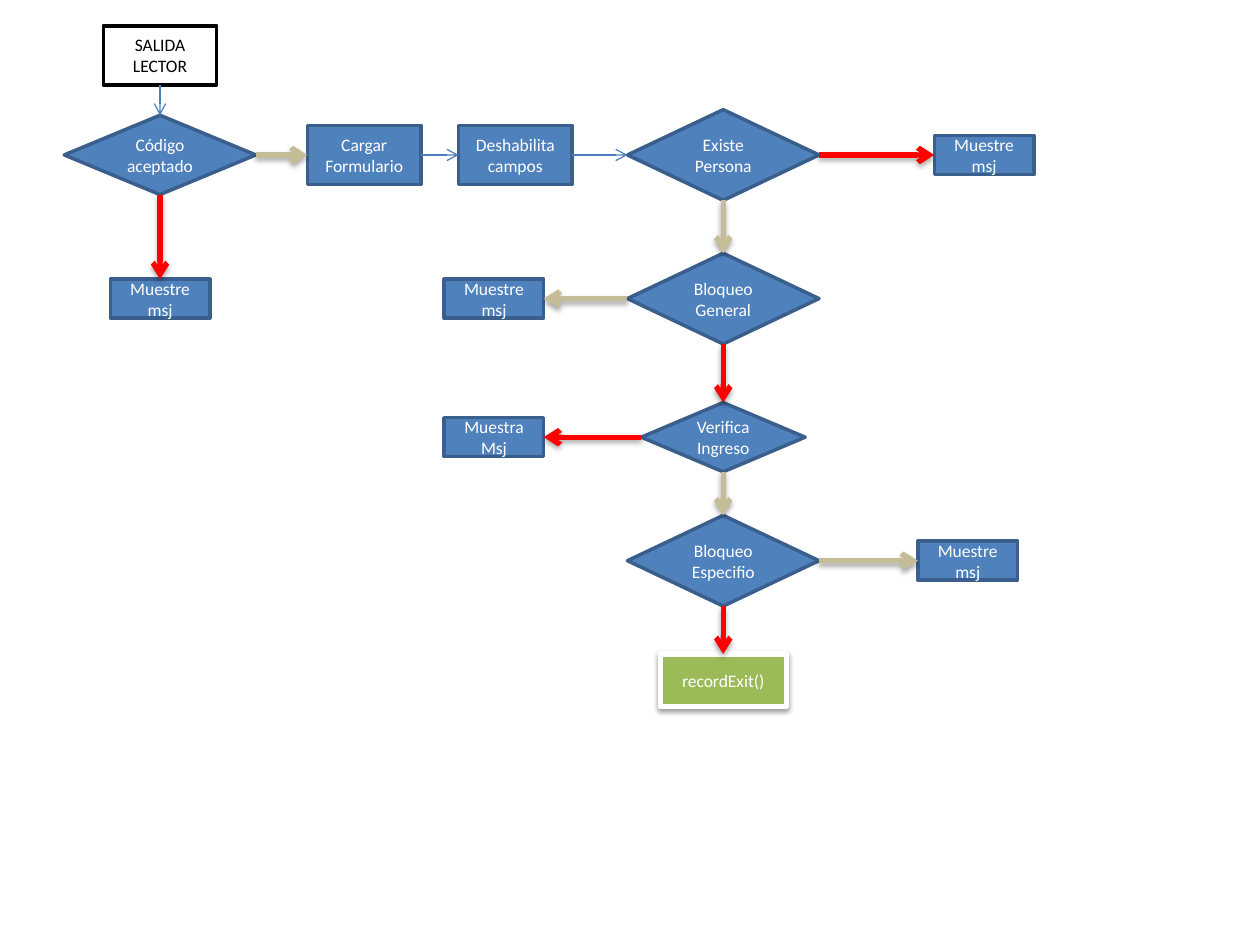
"""Build a one-slide flowchart of the reader exit process."""
from lxml.etree import SubElement
from pptx import Presentation
from pptx.dml.color import RGBColor
from pptx.enum.shapes import MSO_CONNECTOR as Connector, MSO_SHAPE as Shape
from pptx.enum.text import MSO_ANCHOR as Anchor, PP_ALIGN as Align
from pptx.oxml.ns import qn
from pptx.util import Inches, Pt

COLORS = {
    "blue": "4F81BD", "edge": "3A5F8C", "thin": "4B7EBC", "yes": "C4BD97",
    "no": "FF0000", "green": "9BBB59", "white": "FFFFFF", "black": "000000",
}
COLUMNS = {"start": 1.27, "load": 2.89, "message": 3.92, "disable": 4.09,
           "main": 5.74, "block": 7.68, "missing": 7.81}
ROWS = {"start": 0.44, "person": 1.23, "general": 2.37, "entry": 3.47,
        "specific": 4.45, "record": 5.4}
SIZES = {"step": (0.9, 0.47), "message": (0.79, 0.31), "code": (1.52, 0.63),
         "decision": (1.52, 0.72), "small": (1.3, 0.55), "record": (1, 0.42)}
DECISIONS = ("code", "decision", "small")
SITES = {"top": 0, "left": 1, "bottom": 2, "right": 3}

NODES = [
    ("start", "SALIDA LECTOR", "step", "start", "start"),
    ("code", "Código aceptado", "code", "start", "person"),
    ("rejected", "Muestre msj", "message", "start", "general"),
    ("load", "Cargar Formulario", "step", "load", "person"),
    ("disable", "Deshabilita campos", "step", "disable", "person"),
    ("person", "Existe Persona", "decision", "main", "person"),
    ("missing", "Muestre msj", "message", "missing", "person"),
    ("general", "Bloqueo General", "decision", "main", "general"),
    ("blocked", "Muestre msj", "message", "message", "general"),
    ("entry", "Verifica Ingreso", "small", "main", "entry"),
    ("denied", "Muestra Msj", "message", "message", "entry"),
    ("specific", "Bloqueo Especifio", "decision", "main", "specific"),
    ("barred", "Muestre msj", "message", "block", "specific"),
    ("record", "recordExit()", "record", "main", "record"),
]
NODE_STYLES = {
    "start": ("white", "black", 2, "black"),
    "record": ("green", "white", 3, "white"),
}
LINKS = [
    ("start", "code", "down", "thin"),
    ("code", "rejected", "down", "no"),
    ("code", "load", "right", "yes"),
    ("load", "disable", "right", "thin"),
    ("disable", "person", "right", "thin"),
    ("person", "missing", "right", "no"),
    ("person", "general", "down", "yes"),
    ("general", "blocked", "left", "yes"),
    ("general", "entry", "down", "no"),
    ("entry", "denied", "left", "no"),
    ("entry", "specific", "down", "yes"),
    ("specific", "barred", "right", "yes"),
    ("specific", "record", "down", "no"),
]
DIRECTIONS = {"down": ("bottom", "top"), "right": ("right", "left"),
              "left": ("left", "right")}


def color(name):
    return RGBColor.from_string(COLORS[name])


def set_line(shape, name, width):
    shape.line.color.rgb = color(name)
    shape.line.width = Pt(width)


def add_shadow(effects, opacity, distance):
    shadow = SubElement(effects, qn("a:outerShdw"), blurRad=str(Pt(3.1)),
                        dist=str(Pt(distance)), dir="5400000", rotWithShape="0")
    black = SubElement(shadow, qn("a:srgbClr"), val=COLORS["black"])
    SubElement(black, qn("a:alpha"), val=str(opacity * 1000))


def add_node(slide, name, text, size, column, row):
    fill, edge, width, ink = NODE_STYLES.get(name, ("blue", "edge", 2, "white"))
    box_width, box_height = SIZES[size]
    preset = Shape.FLOWCHART_DECISION if size in DECISIONS else Shape.RECTANGLE
    shape = slide.shapes.add_shape(
        preset, Inches(COLUMNS[column] - box_width / 2),
        Inches(ROWS[row] - box_height / 2), Inches(box_width), Inches(box_height))
    shape.shadow.inherit = False
    shape.fill.solid()
    shape.fill.fore_color.rgb = color(fill)
    set_line(shape, edge, width)
    frame = shape.text_frame
    frame.text = text
    frame.word_wrap = True
    frame.vertical_anchor = Anchor.MIDDLE
    paragraph = frame.paragraphs[0]
    paragraph.alignment = Align.CENTER
    font = paragraph.runs[0].font
    font.name, font.size, font.color.rgb = "Calibri", Pt(10), color(ink)
    return shape


def add_link(slide, source, target, direction, kind):
    connector = slide.shapes.add_connector(Connector.STRAIGHT, 0, 0, 0, 0)
    begin, end = DIRECTIONS[direction]
    connector.begin_connect(source, SITES[begin])
    connector.end_connect(target, SITES[end])
    set_line(connector, kind, 0.75 if kind == "thin" else 3)
    properties = connector.element.spPr
    SubElement(properties.find(qn("a:ln")), qn("a:tailEnd"), type="arrow")
    effects = SubElement(properties, qn("a:effectLst"))
    if kind != "thin":
        add_shadow(effects, 35, 1.8)


def main():
    presentation = Presentation()
    presentation.slide_width, presentation.slide_height = Inches(10), Inches(7.5)
    slide = presentation.slides.add_slide(presentation.slide_layouts[6])
    nodes = {node[0]: add_node(slide, *node) for node in NODES}
    add_shadow(nodes["record"].element.spPr.find(qn("a:effectLst")), 38, 1.6)
    for source, target, direction, kind in LINKS:
        add_link(slide, nodes[source], nodes[target], direction, kind)
    presentation.save("out.pptx")


main()
